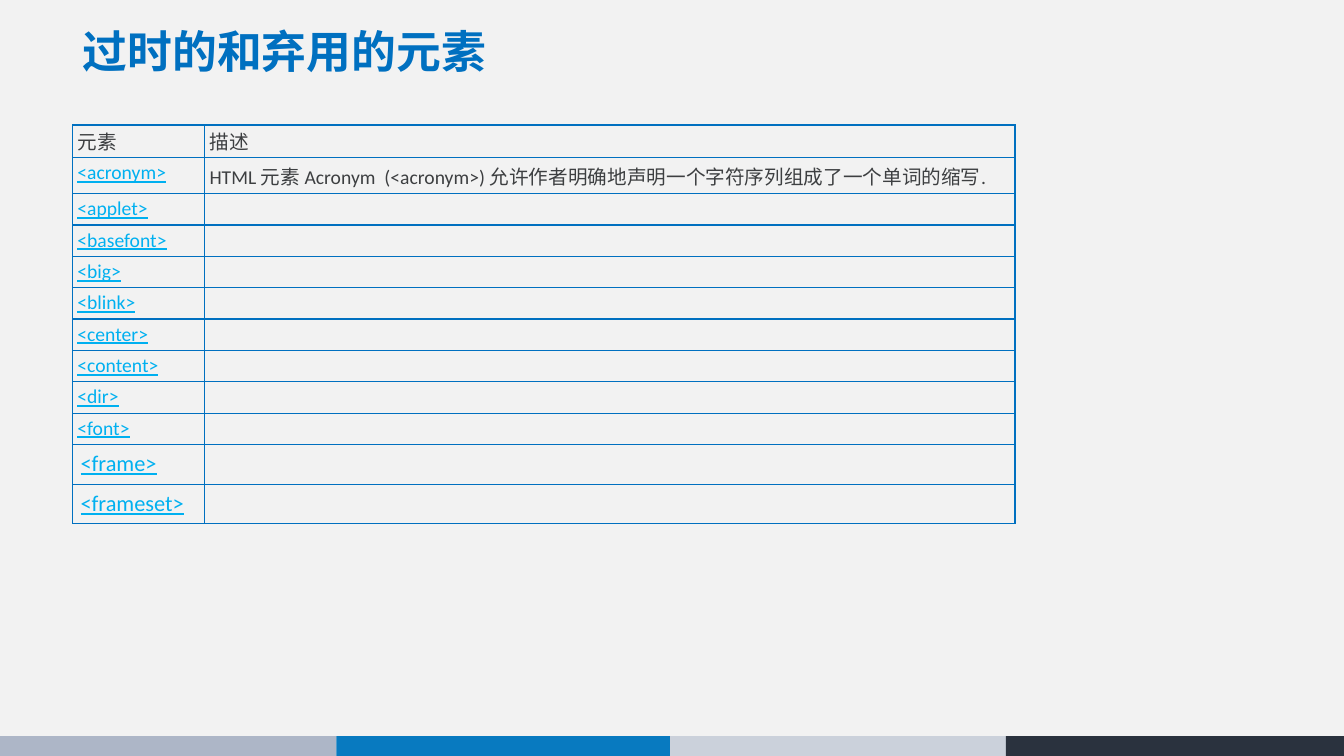
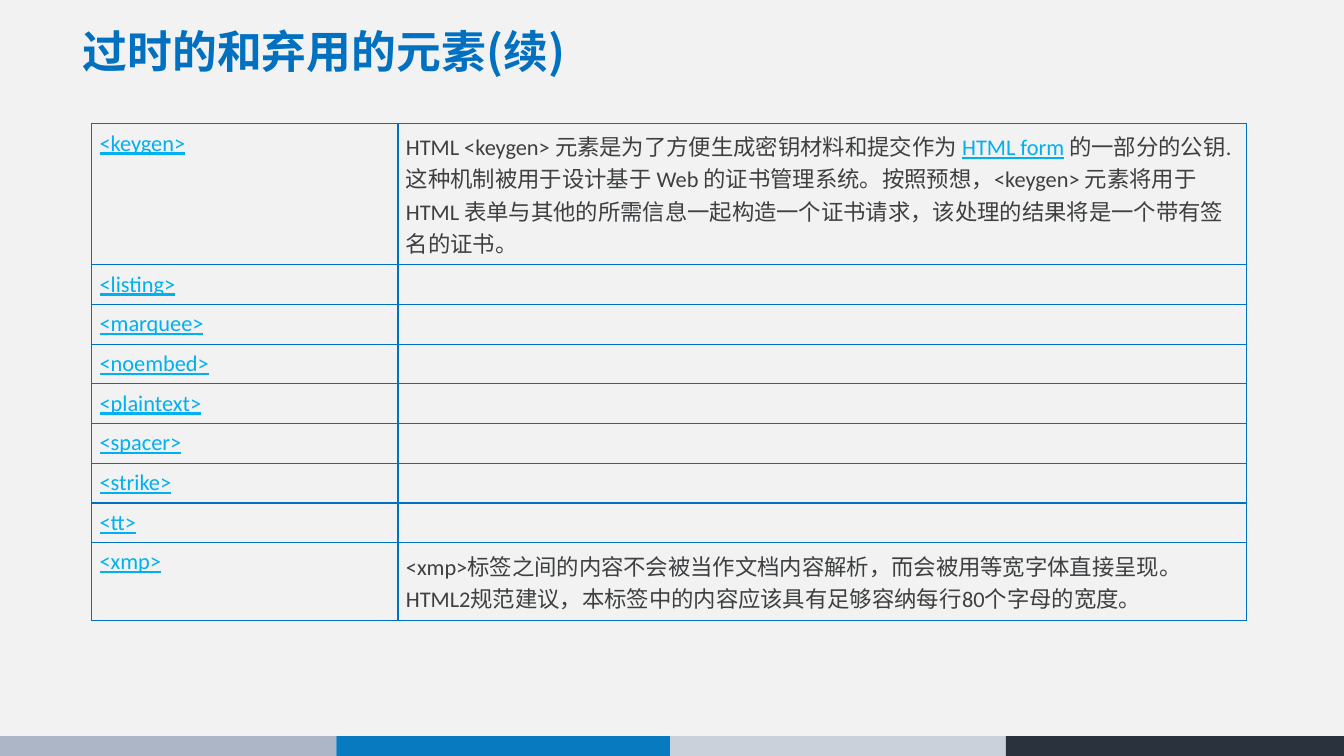
from lxml.etree import SubElement
from pptx import Presentation
from pptx.dml.color import RGBColor
from pptx.enum.shapes import MSO_SHAPE as Shape
from pptx.enum.text import MSO_ANCHOR as Anchor, PP_ALIGN as Align
from pptx.oxml import parse_xml
from pptx.oxml.ns import nsdecls, qn
from pptx.util import Cm, Pt

BLUE = RGBColor(0x00, 0x70, 0xC0)
SKY = RGBColor(0x00, 0xB0, 0xF0)
INK = RGBColor(0x3D, 0x3F, 0x41)
PAPER = RGBColor(0xF2, 0xF2, 0xF2)
BANDS = [
    (0, RGBColor(0xAD, 0xB6, 0xC7)),
    (8.48, RGBColor(0x08, 0x7A, 0xC0)),
    (16.89, RGBColor(0xCB, 0xD1, 0xDB)),
    (25.35, RGBColor(0x2A, 0x32, 0x3E)),
]
WIDE, HIGH, FOOT = 33.87, 19.05, 18.55
SANS, HAN = "Calibri", "Noto Sans CJK SC"

HEAD = {"name": HAN, "size": Pt(32), "bold": True}
PLAIN = {"name": SANS, "underline": False}
LINK = {"name": SANS, "underline": True}

# Cell margins in cm: left and right, top, bottom
TOP = (0.12, 0.03, 0.05)
TIGHT = (0.12, 0.09, 0.09)
LOOSE = (0.2, 0.15, 0.15)


def tag(name):
    return [(name, True)]


def say(text):
    return [(text, False)]


def bare(names, size, high, pad):
    """Rows that hold an element name and no description."""
    return [(tag(f"<{name}>"), [], size, high, pad) for name in names.split()]


class Deck:
    def __init__(self):
        self.prs = Presentation()
        self.prs.slide_width, self.prs.slide_height = Cm(WIDE), Cm(HIGH)
        self.layout = self.prs.slide_layouts[5]
        self.slide = None
        back = self.prs.slide_master.background.fill
        back.solid()
        back.fore_color.rgb = PAPER

    def page(self, title):
        first = self.slide is None
        self.slide = self.prs.slides.add_slide(self.layout)
        if first:
            self.bands()
        self.title(title)

    def bands(self):
        """Draw the foot bands once and move them to the shared layout."""
        ends = [left for left, _ in BANDS[1:]] + [WIDE]
        for (left, color), end in zip(BANDS, ends):
            band = self.slide.shapes.add_shape(
                Shape.RECTANGLE, Cm(left), Cm(FOOT), Cm(end - left), Cm(HIGH - FOOT))
            band.shadow.inherit = False
            band.fill.solid()
            band.fill.fore_color.rgb = color
            band.line.fill.background()
            self.layout.shapes._spTree.append(band._element)

    def text(self, para, words, look, color):
        run = para.add_run()
        run.text = words
        for key, value in look.items():
            setattr(run.font, key, value)
        run.font.color.rgb = color
        SubElement(run._r.get_or_add_rPr(), qn("a:ea"), typeface=HAN)

    def title(self, words):
        box = self.slide.shapes.title
        spot = {"left": 1.83, "top": 0.46, "width": 30.05, "height": 1.78}
        for key, value in spot.items():
            setattr(box, key, Cm(value))
        box.text_frame.vertical_anchor = Anchor.MIDDLE
        para = box.text_frame.paragraphs[0]
        para.alignment, para.line_spacing = Align.LEFT, 0.9
        self.text(para, words, HEAD, BLUE)

    def table(self, left, top, cols, rows):
        high = sum(row[3] for row in rows)
        grid = self.slide.shapes.add_table(
            len(rows), len(cols), Cm(left), Cm(top), Cm(sum(cols)), Cm(high)).table
        grid.first_row = grid.horz_banding = False
        for col, wide in zip(grid.columns, cols):
            col.width = Cm(wide)
        for line, (name, note, size, high, pad) in zip(grid.rows, rows):
            line.height = Cm(high)
            for cell, runs in zip(line.cells, (name, note)):
                self.cell(cell, runs, size, pad)
            for cell in list(line.cells)[0 if pad == TOP else 1:]:
                cell.vertical_anchor = Anchor.MIDDLE

    def cell(self, cell, runs, size, pad):
        side, top, low = pad
        gaps = {"left": side, "right": side, "top": top, "bottom": low}
        for key, value in gaps.items():
            setattr(cell, f"margin_{key}", Cm(value))
        cell.fill.background()
        self.edge(cell)
        para = cell.text_frame.paragraphs[0]
        for words, link in runs:
            look = {**(LINK if link else PLAIN), "size": Pt(size)}
            self.text(para, words, look, SKY if link else INK)
        if not runs:
            SubElement(para._p, qn("a:endParaRPr"), sz=str(size * 100))

    def edge(self, cell):
        """Rule all four sides; the lines must come before the fill."""
        props = cell._tc.get_or_add_tcPr()
        for spot, side in enumerate("LRTB"):
            props.insert(spot, parse_xml(
                f'<a:ln{side} {nsdecls("a")} w="{Pt(1)}"><a:solidFill>'
                f'<a:srgbClr val="{BLUE}"/></a:solidFill></a:ln{side}>'))


def main():
    deck = Deck()

    deck.page("过时的和弃用的元素")
    deck.table(1.83, 3.15, (3.33, 20.42), [
        (say("元素"), say("描述"), 14, 0.82, TOP),
        (tag("<acronym>"),
         say("HTML 元素 Acronym  (<acronym>) 允许作者明确地声明一个字符序列组成了一个单词的缩写."),
         14, 0.91, TIGHT),
        *bare("applet basefont big blink center content dir font", 14, 0.79, TIGHT),
        *bare("frame frameset", 16, 1, LOOSE),
    ])

    deck.page("过时的和弃用的元素(续)")
    deck.table(2.31, 3.12, (7.72, 21.39), [
        (tag("<keygen>"),
         say("HTML <keygen> 元素是为了方便生成密钥材料和提交作为 ")
         + tag("HTML form")
         + say(" 的一部分的公钥.这种机制被用于设计基于 Web 的证书管理系统。"
               "按照预想，<keygen> 元素将用于 HTML 表单与其他的所需信息一起"
               "构造一个证书请求，该处理的结果将是一个带有签名的证书。"),
         16, 3.55, LOOSE),
        *bare("listing marquee noembed plaintext spacer strike tt", 16, 1, LOOSE),
        (tag("<xmp>"),
         say("<xmp>标签之间的内容不会被当作文档内容解析，而会被用等宽字体直接呈现。"
             "HTML2规范建议，本标签中的内容应该具有足够容纳每行80个字母的宽度。"),
         16, 1.96, LOOSE),
    ])

    deck.prs.save("out.pptx")


if __name__ == "__main__":
    main()
